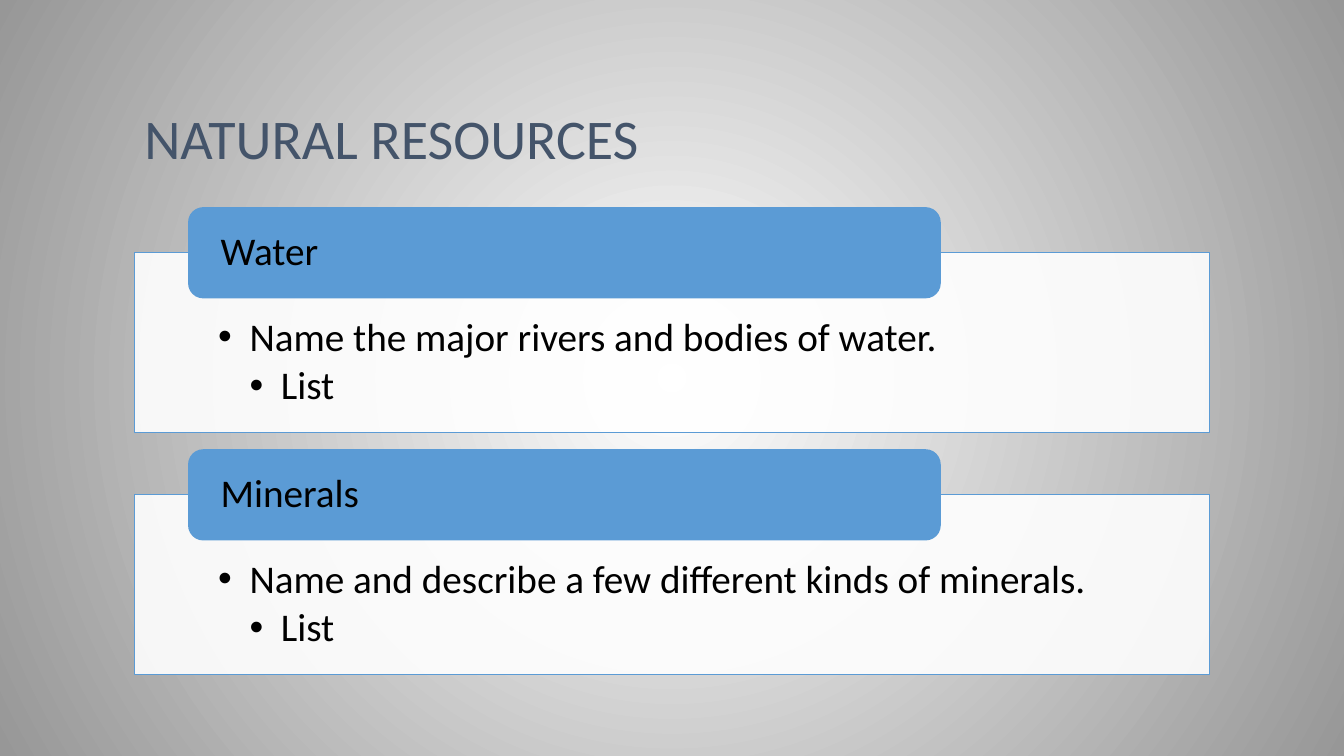
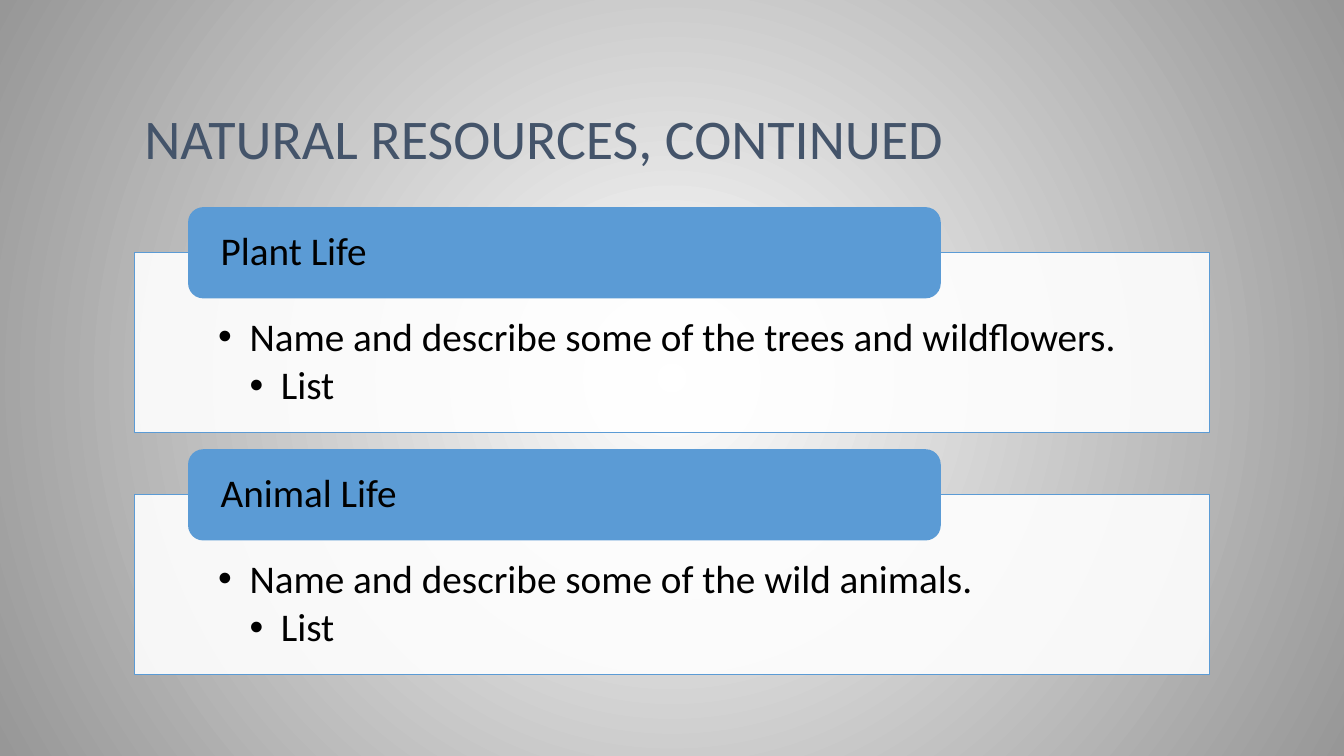
from typing import NamedTuple

from lxml import etree
from pptx import Presentation
from pptx import util as u
from pptx.dml.color import RGBColor
from pptx.enum import shapes, text
from pptx.oxml.ns import qn

WHITE = RGBColor(0xFF, 0xFF, 0xFF)
GRAY = RGBColor(0x97, 0x97, 0x97)
SLATE = RGBColor(0x44, 0x54, 0x6A)
BLUE = RGBColor(0x5B, 0x9B, 0xD5)
BLACK = RGBColor(0, 0, 0)
FONT = "Calibri"

MARGIN = u.Cm(3.39)
CONTENT_WIDTH = u.Cm(27.09)
FIRST_HEADING_TOP = u.Cm(5.22)
TOPIC_PITCH = u.Cm(6.1)
PANEL_OFFSET = u.Cm(1.15)
BULLET_STEP = u.Cm(0.79)


class Box(NamedTuple):
    left: int
    top: int
    width: int
    height: int


class Topic(NamedTuple):
    heading: str
    task: str
    detail: str = "List"


class Page(NamedTuple):
    title: str
    topics: tuple[Topic, ...]


PAGES = (
    Page("NATURAL RESOURCES", (
        Topic("Water", "Name the major rivers and bodies of water."),
        Topic("Minerals", "Name and describe a few different kinds of minerals."),
    )),
    Page("NATURAL RESOURCES, CONTINUED", (
        Topic("Plant Life", "Name and describe some of the trees and wildflowers."),
        Topic("Animal Life", "Name and describe some of the wild animals."),
    )),
)


def set_background(master) -> None:
    fill = master.background.fill
    fill.gradient()
    for stop, color in zip(fill.gradient_stops, (WHITE, GRAY)):
        stop.color.rgb = color
    gradient = master.element.find(".//" + qn("a:gradFill"))
    gradient.remove(gradient.find(qn("a:lin")))
    circle = etree.SubElement(gradient, qn("a:path"), path="circle")
    etree.SubElement(circle, qn("a:fillToRect"), l="50000", t="50000", r="50000", b="50000")


def write(shape, lines: tuple[str, ...], *, size: int = 28, color: RGBColor = BLACK,
          anchor=text.MSO_ANCHOR.TOP, bulleted: bool = False,
          insets: tuple[float, float, float, float] = (0.25, 0.13, 0.25, 0.13)) -> None:
    frame = shape.text_frame
    frame.word_wrap = True
    frame.vertical_anchor = anchor
    (frame.margin_left, frame.margin_top,
     frame.margin_right, frame.margin_bottom) = map(u.Cm, insets)
    for index, line in enumerate(lines):
        paragraph = frame.add_paragraph() if index else frame.paragraphs[0]
        if bulleted:
            properties = paragraph._p.get_or_add_pPr()
            properties.set("marL", str(BULLET_STEP * (index + 1)))
            properties.set("indent", str(-BULLET_STEP))
            etree.SubElement(properties, qn("a:buFont"), typeface="Arial")
            etree.SubElement(properties, qn("a:buChar"), char="•")
            paragraph.level = index + 1
            paragraph.space_after = u.Pt(4.2)
        paragraph.alignment = text.PP_ALIGN.LEFT
        paragraph.line_spacing = 0.9
        run = paragraph.add_run()
        run.text = line
        run.font.name = FONT
        run.font.size = u.Pt(size)
        run.font.color.rgb = color


def add_block(slide, kind, box: Box, fill: RGBColor):
    block = slide.shapes.add_shape(kind, *box)
    block.shadow.inherit = False
    block.fill.solid()
    block.fill.fore_color.rgb = fill
    return block


def add_topic(slide, topic: Topic, top: int) -> None:
    panel = add_block(slide, shapes.MSO_SHAPE.RECTANGLE,
                      Box(MARGIN, top + PANEL_OFFSET, CONTENT_WIDTH, u.Cm(4.53)), WHITE)
    panel_color = panel._element.spPr.find(qn("a:solidFill"))[0]
    etree.SubElement(panel_color, qn("a:alpha"), val="90000")
    panel.line.color.rgb = BLUE
    panel.line.width = u.Pt(0.75)
    write(panel, (topic.task, topic.detail), bulleted=True, insets=(2.11, 1.63, 2.11, 0.56))

    heading = add_block(slide, shapes.MSO_SHAPE.ROUNDED_RECTANGLE,
                        Box(u.Cm(4.74), top, u.Cm(18.97), u.Cm(2.3)), BLUE)
    heading.line.fill.background()
    write(heading, (topic.heading,), anchor=text.MSO_ANCHOR.MIDDLE, insets=(0.71, 0, 0.71, 0))


def add_page(deck, page: Page) -> None:
    slide = deck.slides.add_slide(deck.slide_layouts[6])
    title = slide.shapes.add_textbox(MARGIN, u.Cm(0.76), CONTENT_WIDTH, u.Cm(3.69))
    write(title, (page.title,), size=40, color=SLATE, anchor=text.MSO_ANCHOR.BOTTOM)
    for row, topic in enumerate(page.topics):
        add_topic(slide, topic, FIRST_HEADING_TOP + row * TOPIC_PITCH)


def main() -> None:
    deck = Presentation()
    deck.slide_width = u.Cm(33.87)
    deck.slide_height = u.Cm(19.05)
    set_background(deck.slide_master)
    for page in PAGES:
        add_page(deck, page)
    deck.save("out.pptx")


if __name__ == "__main__":
    main()
